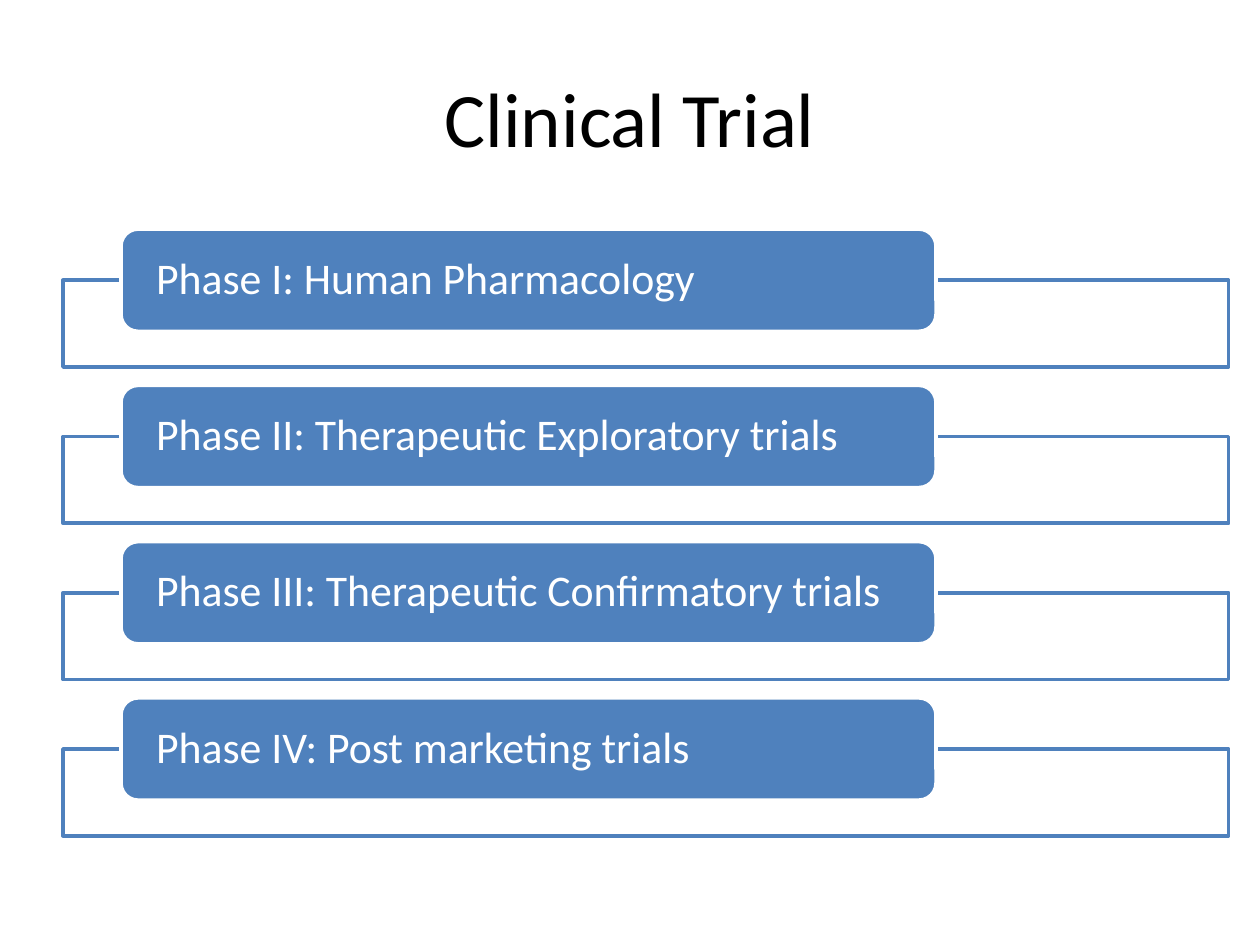
import pptx
import pptx.dml.color
import pptx.enum.shapes
import pptx.enum.text
import pptx.util

Cm = pptx.util.Cm
Pt = pptx.util.Pt
RGBColor = pptx.dml.color.RGBColor
Shape = pptx.enum.shapes.MSO_SHAPE
Align = pptx.enum.text.PP_ALIGN

TITLE = "Clinical Trial"
PHASES = [
    "Phase I: Human Pharmacology",
    "Phase II: Therapeutic Exploratory trials",
    "Phase III: Therapeutic Confirmatory trials",
    "Phase IV: Post marketing trials",
]

BLACK = RGBColor(0x00, 0x00, 0x00)
WHITE = RGBColor(0xFF, 0xFF, 0xFF)
BLUE = RGBColor(0x4F, 0x81, 0xBD)
FONT = "Calibri"

# Centimetres
MARGIN = 1.27
FIRST_LABEL_TOP = 4.62
PHASE_PITCH = 3.15
LABEL_LEFT, LABEL_WIDTH, LABEL_HEIGHT = 2.44, 16.43, 2.06
FRAME_WIDTH, FRAME_HEIGHT = 23.5, 1.75
FRAME_DROP = LABEL_HEIGHT / 2  # each frame starts at its label's middle


def add_panel(page, kind, left, top, width, height, fill, line):
    panel = page.shapes.add_shape(kind, Cm(left), Cm(top), Cm(width), Cm(height))
    panel.shadow.inherit = False
    panel.fill.solid()
    panel.fill.fore_color.rgb = fill
    panel.line.color.rgb = line
    panel.line.width = Pt(2)
    return panel


def write_text(box, text, size, color, align, inset):
    """Put one vertically centred line of text in a box and return its paragraph."""
    frame = box.text_frame
    frame.word_wrap = True
    frame.vertical_anchor = pptx.enum.text.MSO_ANCHOR.MIDDLE
    frame.margin_left = frame.margin_right = Cm(inset)
    frame.margin_top = frame.margin_bottom = 0
    para = frame.paragraphs[0]
    para.alignment = align
    span = para.add_run()
    span.text = text
    span.font.name = FONT
    span.font.size = Pt(size)
    span.font.color.rgb = color
    return para


def add_phase(page, text, top):
    add_panel(page, Shape.RECTANGLE, MARGIN, top + FRAME_DROP,
              FRAME_WIDTH, FRAME_HEIGHT, WHITE, BLUE)
    label = add_panel(page, Shape.ROUNDED_RECTANGLE, LABEL_LEFT, top,
                      LABEL_WIDTH, LABEL_HEIGHT, BLUE, WHITE)
    para = write_text(label, text, 25, WHITE, Align.LEFT, 0.61)
    para.line_spacing = 0.9


def main():
    deck = pptx.Presentation()
    deck.slide_width, deck.slide_height = Cm(25.4), Cm(19.05)
    page = deck.slides.add_slide(deck.slide_layouts[6])

    title = page.shapes.add_textbox(Cm(MARGIN), Cm(0.76), Cm(22.86), Cm(3.18))
    write_text(title, TITLE, 44, BLACK, Align.CENTER, 0.25)

    for index, phase in enumerate(PHASES):
        add_phase(page, phase, FIRST_LABEL_TOP + index * PHASE_PITCH)

    deck.save("out.pptx")


if __name__ == "__main__":
    main()
